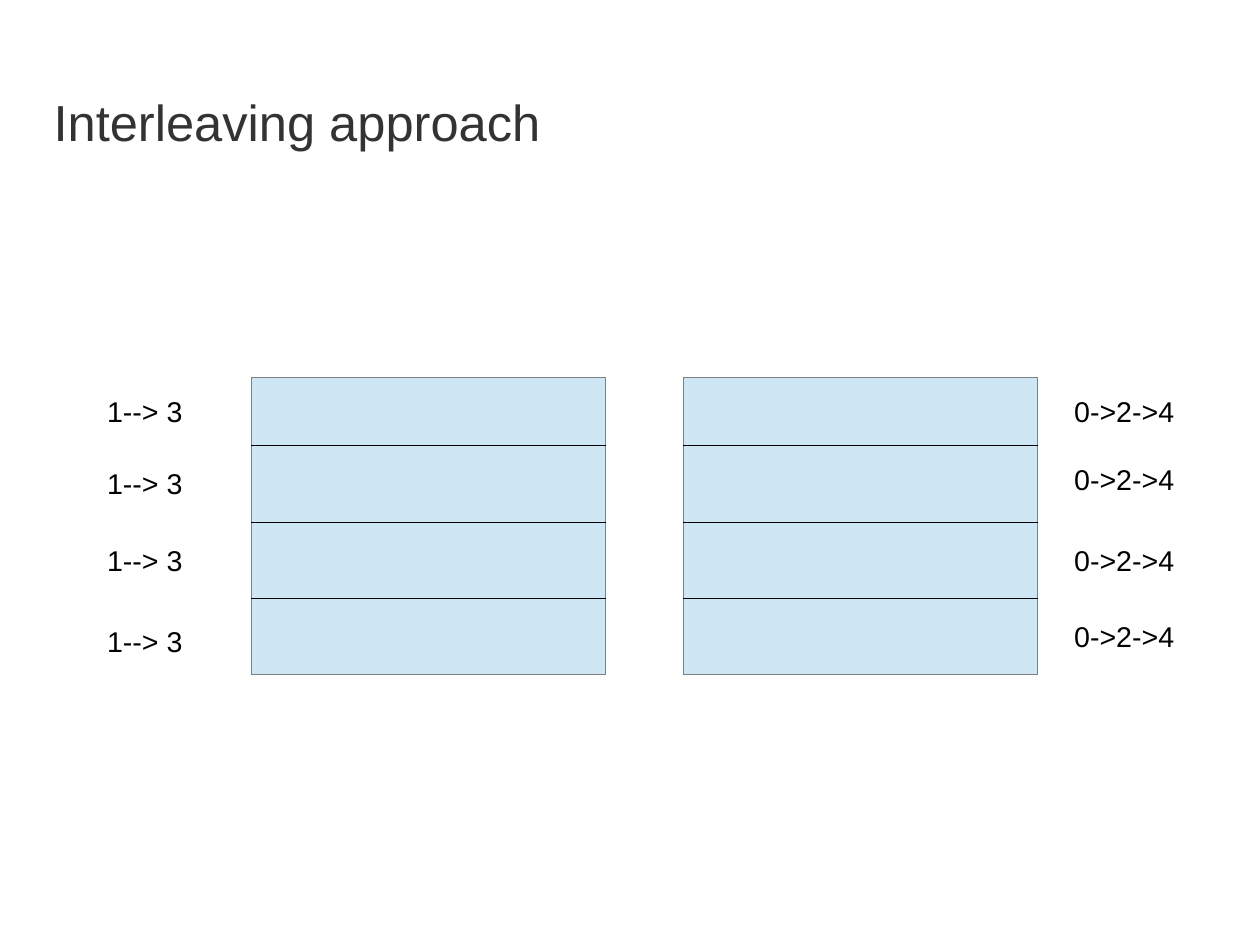
import dataclasses

import pptx
import pptx.dml.color
import pptx.dml.line
import pptx.enum.shapes
import pptx.enum.text
import pptx.oxml.ns
import pptx.slide
import pptx.util
from lxml import etree


@dataclasses.dataclass(frozen=True)
class Theme:
    font: str = "Arial"
    title_size: float = 31.9
    label_size: float = 18
    title_color: str = "333333"
    ink: str = "000000"
    block_fill: str = "CFE7F5"
    block_border: str = "808080"


@dataclasses.dataclass(frozen=True)
class Box:
    """A rectangle in percent of the slide's width and height."""
    left: float
    top: float
    width: float
    height: float


@dataclasses.dataclass(frozen=True)
class Bank:
    """A block of memory rows with the access order beside each row."""
    left: float
    order: str
    order_left: float
    order_tops: tuple[float, ...]


THEME = Theme()
SLIDE_WIDTH = pptx.util.Cm(28)
SLIDE_HEIGHT = pptx.util.Cm(21)

TITLE = Box(4.26, 8.55, 70.05, 8.59)
BANK_TOP, BANK_WIDTH, BANK_HEIGHT = 39.9, 28.12, 31.44
FIRST_DIVIDER, ROW_HEIGHT, DIVIDERS = 47.16, 8.1, 3
ORDER_WIDTH, ORDER_HEIGHT = 10.89, 4.59
BANKS = (
    Bank(54.24, "0->2->4", 84.36, (41.1, 48.25, 56.83, 64.9)),
    Bank(19.96, "1--> 3", 7.6, (41.1, 48.7, 56.83, 65.4)),
)


def across(percent: float) -> int:
    return round(SLIDE_WIDTH * percent / 100)


def down(percent: float) -> int:
    return round(SLIDE_HEIGHT * percent / 100)


def place(box: Box) -> tuple[int, int, int, int]:
    return across(box.left), down(box.top), across(box.width), down(box.height)


def rgb(color: str) -> pptx.dml.color.RGBColor:
    return pptx.dml.color.RGBColor.from_string(color)


def set_hairline(line: pptx.dml.line.LineFormat, color: str) -> None:
    """Write the zero width out, since the width property drops it."""
    line.color.rgb = rgb(color)
    line._get_or_add_ln().set("w", "0")


def add_text(slide: pptx.slide.Slide, text: str, box: Box, *, size: float,
             color: str, padding: tuple[float, float] = (0.1, 0.05),
             anchor: pptx.enum.text.MSO_ANCHOR = pptx.enum.text.MSO_ANCHOR.TOP,
             ) -> None:
    frame = slide.shapes.add_textbox(*place(box)).text_frame
    frame.word_wrap = True
    frame.vertical_anchor = anchor
    frame.margin_left = frame.margin_right = pptx.util.Inches(padding[0])
    frame.margin_top = frame.margin_bottom = pptx.util.Inches(padding[1])
    run = frame.paragraphs[0].add_run()
    run.text = text
    run.font.name = THEME.font
    run.font.size = pptx.util.Pt(size)
    run.font.color.rgb = rgb(color)


def add_block(slide: pptx.slide.Slide, bank: Bank) -> None:
    block = slide.shapes.add_shape(
        pptx.enum.shapes.MSO_SHAPE.RECTANGLE,
        *place(Box(bank.left, BANK_TOP, BANK_WIDTH, BANK_HEIGHT)))
    block.shadow.inherit = False
    block.fill.solid()
    block.fill.fore_color.rgb = rgb(THEME.block_fill)
    set_hairline(block.line, THEME.block_border)


def add_divider(slide: pptx.slide.Slide, left: float, top: float) -> None:
    divider = slide.shapes.add_connector(
        pptx.enum.shapes.MSO_CONNECTOR.STRAIGHT,
        across(left), down(top), across(left + BANK_WIDTH), down(top))
    set_hairline(divider.line, THEME.ink)
    etree.SubElement(divider._element.spPr, pptx.oxml.ns.qn("a:effectLst"))


def add_bank(slide: pptx.slide.Slide, bank: Bank) -> None:
    add_block(slide, bank)
    for row in range(DIVIDERS):
        add_divider(slide, bank.left, FIRST_DIVIDER + row * ROW_HEIGHT)
    for top in bank.order_tops:
        add_text(slide, bank.order,
                 Box(bank.order_left, top, ORDER_WIDTH, ORDER_HEIGHT),
                 size=THEME.label_size, color=THEME.ink)


def main() -> None:
    deck = pptx.Presentation()
    deck.slide_width, deck.slide_height = SLIDE_WIDTH, SLIDE_HEIGHT
    slide = deck.slides.add_slide(deck.slide_layouts[6])
    add_text(slide, "Interleaving approach", TITLE, size=THEME.title_size,
             color=THEME.title_color, padding=(0, 0),
             anchor=pptx.enum.text.MSO_ANCHOR.MIDDLE)
    for bank in BANKS:
        add_bank(slide, bank)
    deck.save("out.pptx")


if __name__ == "__main__":
    main()
